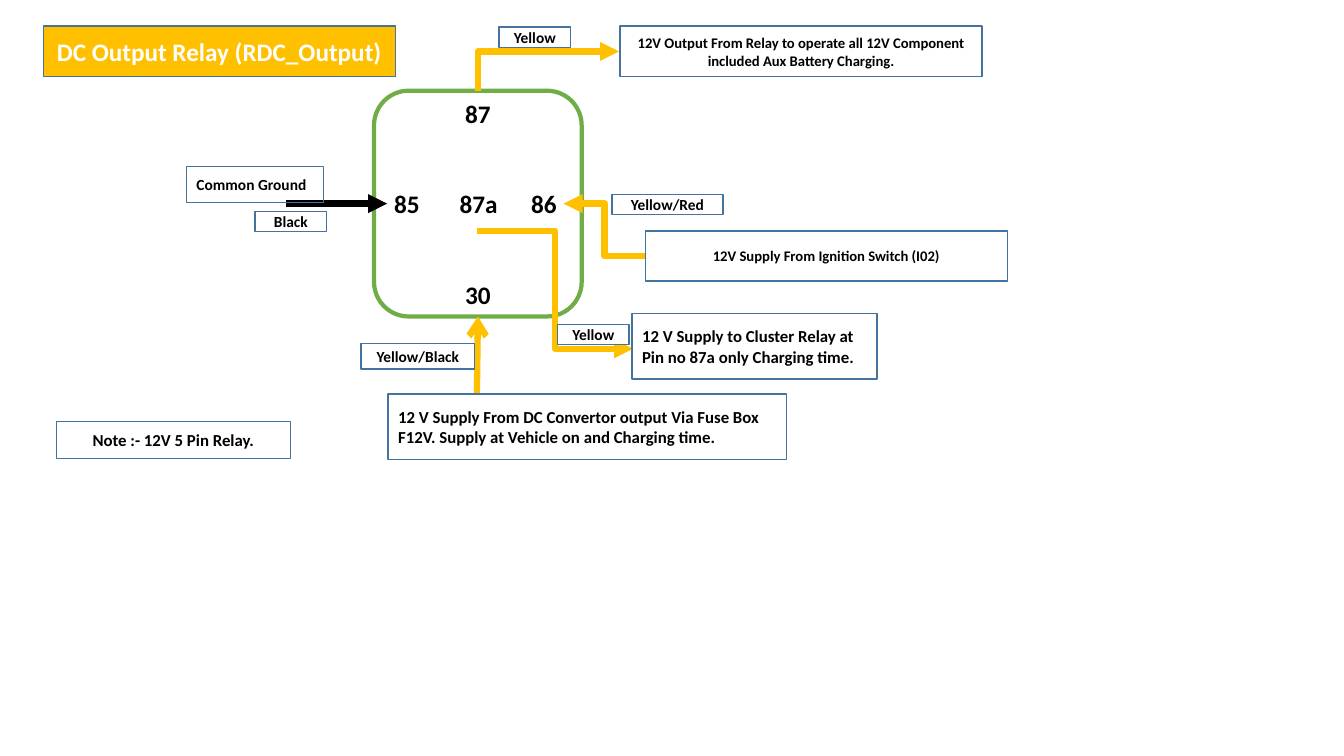
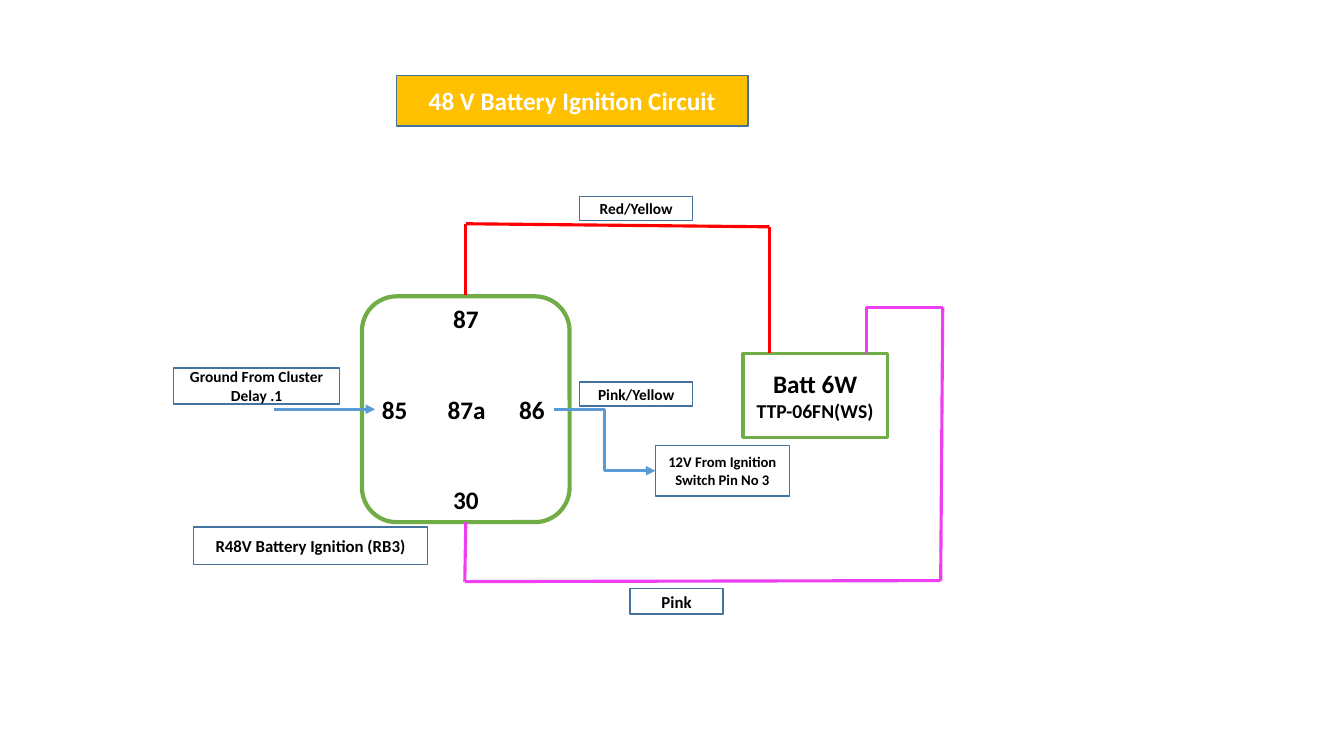
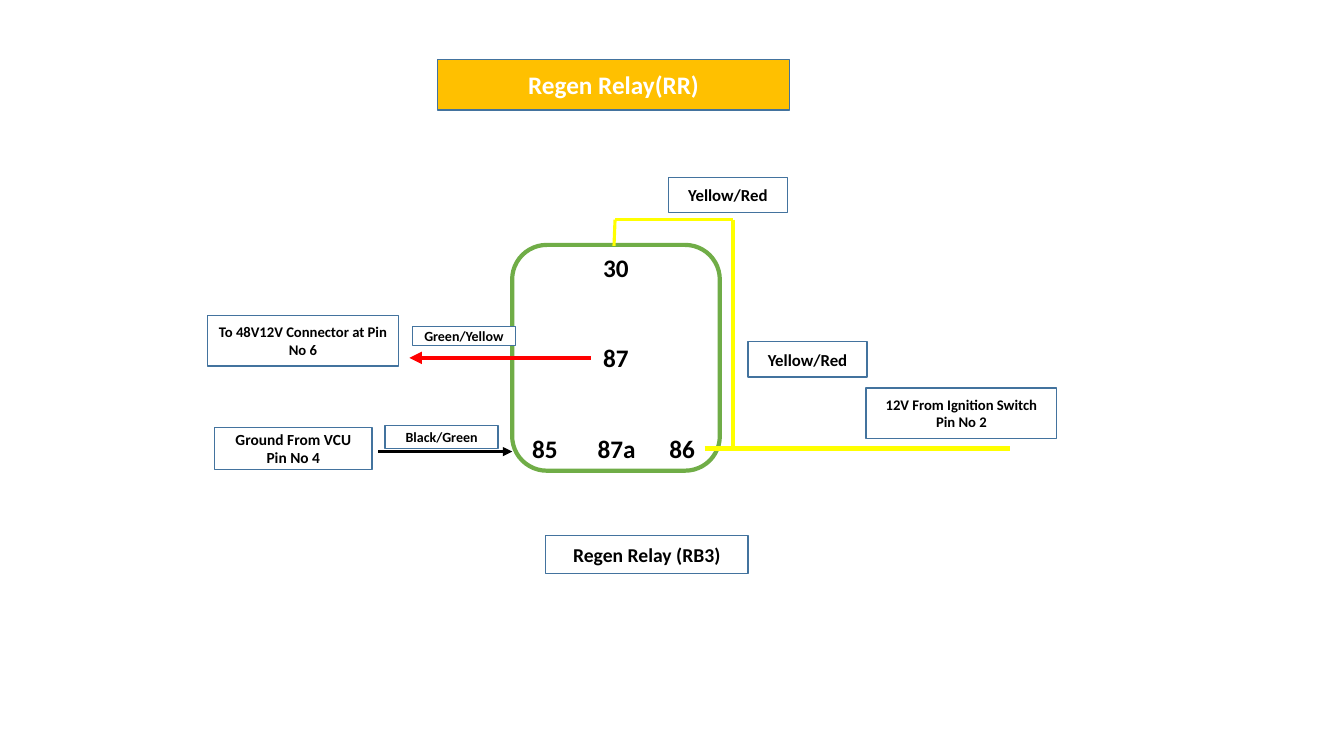
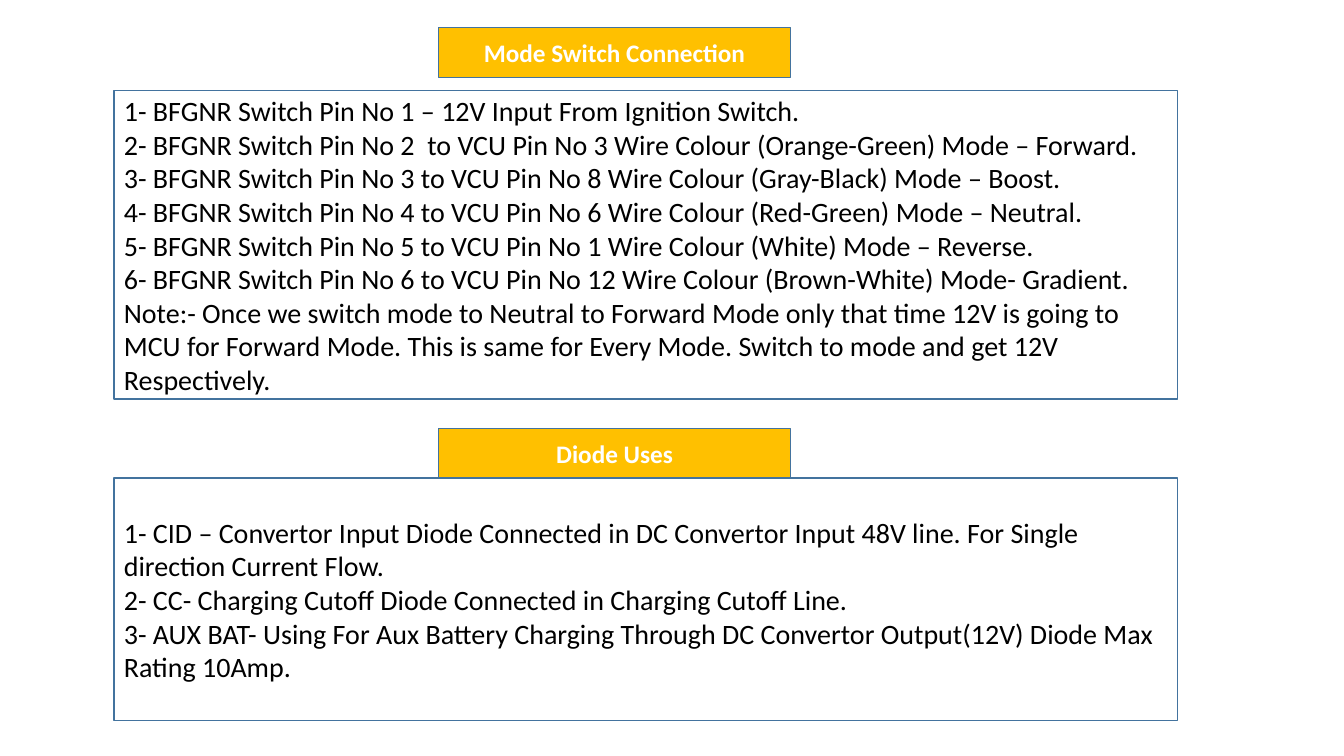
from itertools import pairwise

from lxml.etree import SubElement
from pptx import Presentation
from pptx.dml.color import RGBColor
from pptx.enum.shapes import MSO_CONNECTOR, MSO_SHAPE
from pptx.enum.text import MSO_ANCHOR, MSO_AUTO_SIZE, PP_ALIGN
from pptx.oxml.ns import qn
from pptx.util import Inches, Pt

WHITE = RGBColor(0xFF, 0xFF, 0xFF)
BLACK = RGBColor(0x00, 0x00, 0x00)
AMBER = RGBColor(0xFF, 0xC0, 0x00)
STEEL = RGBColor(0x43, 0x73, 0x9E)
GREEN = RGBColor(0x70, 0xAD, 0x47)
BLUE = RGBColor(0x5B, 0x9B, 0xD5)
PINK = RGBColor(0xED, 0x3F, 0xF1)
RED = RGBColor(0xFF, 0x00, 0x00)
YELLOW = RGBColor(0xFF, 0xFF, 0x00)

FONT = "Calibri"
ROWS = 75
BAND = (34.9, 5)
LEFT, MID = PP_ALIGN.LEFT, PP_ALIGN.CENTER


class Deck:
    def __init__(self):
        self.prs = Presentation()
        self.prs.slide_width = Inches(13.33)
        self.prs.slide_height = Inches(7.5)
        self.cell = self.prs.slide_height / ROWS
        self.slide = None

    def grid(self, *cells):
        return [round(n * self.cell) for n in cells]

    def label(self, shape, rows, size, color=BLACK, bold=True, align=MID, gap=0):
        frame = shape.text_frame
        frame.word_wrap = True
        frame.auto_size = MSO_AUTO_SIZE.NONE
        frame.vertical_anchor = MSO_ANCHOR.MIDDLE
        for n, row in enumerate(rows):
            para = frame.add_paragraph() if n else frame.paragraphs[0]
            para.alignment = align
            para.space_before = Pt(gap if n else 0)
            run = para.add_run()
            run.text = row
            font = run.font
            font.name, font.size, font.bold = FONT, Pt(size), bold
            font.color.rgb = color

    def paint(self, shape, fill, line=STEEL, width=1):
        if fill is None:
            shape.fill.background()
        else:
            shape.fill.solid()
            shape.fill.fore_color.rgb = fill
        shape.line.color.rgb = line
        shape.line.width = Pt(width)

    def shape(self, kind, at, fill, line=STEEL, width=1):
        shape = self.slide.shapes.add_shape(kind, *self.grid(*at))
        shape.shadow.inherit = False
        self.paint(shape, fill, line, width)
        return shape

    def page(self, left, top, text):
        self.slide = self.prs.slides.add_slide(self.prs.slide_layouts[5])
        title = self.slide.shapes.title
        spot = self.grid(left, top, *BAND)
        title.left, title.top, title.width, title.height = spot
        self.paint(title, AMBER)
        self.label(title, [text], 18, WHITE)

    def band(self, left, top, text):
        shape = self.shape(MSO_SHAPE.RECTANGLE, (left, top, *BAND), AMBER)
        self.label(shape, [text], 18, WHITE)

    def box(self, at, *rows, size=11, fill=None, bold=True, align=MID):
        shape = self.shape(MSO_SHAPE.RECTANGLE, at, fill)
        self.label(shape, rows, size, bold=bold, align=align)
        return shape

    def tag(self, at, text, size=11):
        self.box(at, text, size=size, fill=WHITE)

    def relay(self, left, top, *rows):
        at = (left, top, 20.6, 22.4)
        shape = self.shape(MSO_SHAPE.ROUNDED_RECTANGLE, at, WHITE, GREEN, 3)
        self.label(shape, rows, 18, gap=43)
        for para in shape.text_frame.paragraphs:
            if "\t" in para.text:
                para.alignment = LEFT
                tabs = SubElement(para._p.get_or_add_pPr(), qn("a:tabLst"))
                for stop in self.grid(6.5, 13.6):
                    SubElement(tabs, qn("a:tab"), pos=str(stop), algn="l")

    def link(self, kind, start, end, color, width, tip=None, side="tail"):
        spots = self.grid(*start, *end)
        line = self.slide.shapes.add_connector(kind, *spots)
        line.line.color.rgb = color
        line.line.width = Pt(width)
        props = line._element.spPr
        if tip:
            SubElement(props.find(qn("a:ln")), qn(f"a:{side}End"), type=tip)
        SubElement(props, qn("a:effectLst"))
        return line

    def wire(self, color, width, *spots, tip=None):
        pairs = list(pairwise(spots))
        for n, (start, end) in enumerate(pairs, 1):
            mark = tip if n == len(pairs) else None
            self.link(MSO_CONNECTOR.STRAIGHT, start, end, color, width, mark)

    def bend(self, color, width, start, end):
        self.link(MSO_CONNECTOR.ELBOW, start, end, color, width, "triangle")

    def hook(self, color, width, tip, base):
        line = self.link(MSO_CONNECTOR.ELBOW, tip, base, color, width,
                         "triangle", "head")
        line._element.spPr.find(qn("a:prstGeom")).set("prst", "bentConnector2")


def output(deck):
    deck.page(4.3, 2.6, "DC Output Relay (RDC_Output)")
    deck.relay(37.1, 9, "87", "85\t87a\t86", "30")
    deck.wire(AMBER, 4.5, (47.3, 39.1), (47.4, 31.4), tip="arrow")
    deck.wire(BLACK, 4.5, (28.4, 20.2), (38.4, 20.2), tip="triangle")
    deck.box((18.5, 16.5, 13.6, 3.6), "Common Ground", align=LEFT)
    deck.box((64, 22.9, 35.9, 5), "12V Supply From Ignition Switch (I02)", size=10.5)
    deck.bend(AMBER, 4.5, (64, 25.4), (55.9, 20.2))
    deck.box((38.5, 39.1, 39.5, 6.5),
             "12 V Supply From DC Convertor output Via Fuse Box F12V. "
             "Supply at Vehicle on and Charging time.",
             size=12, fill=WHITE, align=LEFT)
    deck.box((5.6, 41.8, 23.2, 3.7), "Note :- 12V 5 Pin Relay.", size=12)
    deck.tag((60.7, 19.3, 11, 2), "Yellow/Red")
    deck.bend(AMBER, 4.5, (47.3, 22.9), (62.8, 34.6))
    deck.box((62.7, 31.1, 24.3, 6.5),
             "12 V Supply to Cluster Relay at Pin no 87a only Charging time.",
             size=12, fill=WHITE, align=LEFT)
    deck.hook(AMBER, 4.5, (61.4, 5.1), (47.4, 9))
    deck.box((61.5, 2.6, 35.9, 5),
             "12V Output From Relay to operate all 12V Component "
             "included Aux Battery Charging.", size=10.5)
    for left, top, text in ((55.3, 32.2, "Yellow"), (49.5, 2.7, "Yellow"),
                            (25.3, 21, "Black")):
        deck.tag((left, top, 7.1, 2), text)
    deck.tag((35.8, 34.1, 11.3, 2.5), "Yellow/Black")


def battery(deck):
    deck.page(39.3, 7.5, "48 V Battery Ignition Circuit")
    deck.relay(35.9, 29.4, "87", "85\t87a\t86", "30")
    batt = deck.box((73.7, 35.1, 14.3, 8.3), "Batt 6W", "TTP-06FN(WS)",
                    size=18, fill=WHITE)
    deck.paint(batt, WHITE, GREEN, 2.25)
    batt.text_frame.paragraphs[1].runs[0].font.size = Pt(14)
    deck.wire(RED, 2.25, (46.2, 29.3), (46.2, 22.2), (76.3, 22.5), (76.3, 35))
    deck.wire(PINK, 2.25, (46.2, 51.8), (46.1, 57.7), (93.3, 57.6),
              (93.5, 30.5), (85.9, 30.5), (85.9, 35.1))
    deck.wire(BLUE, 2.25, (27.2, 40.6), (37.2, 40.6), tip="triangle")
    deck.box((17.2, 36.5, 16.5, 3.6), "Ground From Cluster Delay .1")
    deck.box((65, 44.2, 13.3, 5), "12V From Ignition Switch Pin No 3", size=10.5)
    deck.bend(BLUE, 2.25, (54.9, 40.6), (65, 46.7))
    deck.box((19.2, 52.3, 23.2, 3.7), "R48V Battery Ignition (RB3)", size=12)
    deck.tag((57.5, 19.5, 11.2, 2.4), "Red/Yellow")
    deck.tag((57.5, 37.9, 11.2, 2.4), "Pink/Yellow")
    deck.tag((62.5, 58.4, 9.2, 2.5), "Pink", 12)


def regen(deck):
    deck.page(43.4, 5.9, "Regen Relay(RR)")
    deck.relay(50.8, 24.3, "30", "87", "85\t87a\t86")
    deck.wire(YELLOW, 2.25, (60.9, 24.4), (61, 21.8), (72.7, 21.8))
    deck.wire(YELLOW, 3, (72.7, 21.8), (72.7, 44.5))
    deck.wire(YELLOW, 3, (69.9, 44.5), (100.2, 44.5))
    deck.wire(BLACK, 2.25, (37.5, 44.8), (50.8, 44.8), tip="triangle")
    deck.wire(RED, 3, (58.6, 35.5), (40.6, 35.5), tip="triangle")
    deck.box((21.3, 42.4, 15.6, 4.2), "Ground From VCU Pin No 4")
    deck.box((54.1, 53.1, 20.1, 3.8), "Regen Relay (RB3)", size=14)
    deck.box((85.9, 38.5, 18.9, 5), "12V From Ignition Switch Pin No 2", size=10.5)
    deck.box((20.6, 31.3, 18.9, 5), "To 48V12V Connector at Pin No 6", size=10.5)
    for left, top in ((74.2, 33.9), (66.3, 17.6)):
        deck.tag((left, top, 11.8, 3.5), "Yellow/Red", 12)
    deck.tag((38.2, 42.2, 11.2, 2.3), "Black/Green", 10)
    deck.tag((40.9, 32.4, 10.2, 1.9), "Green/Yellow", 10)


def modes(deck):
    body = dict(size=20, fill=WHITE, bold=False, align=LEFT)
    deck.page(43.5, 2.7, "Mode Switch Connection")
    deck.box((11.3, 9, 105.5, 30.6),
             "1- BFGNR Switch Pin No 1 – 12V Input From Ignition Switch.",
             "2- BFGNR Switch Pin No 2  to VCU Pin No 3 Wire Colour "
             "(Orange-Green) Mode – Forward.",
             "3- BFGNR Switch Pin No 3 to VCU Pin No 8 Wire Colour "
             "(Gray-Black) Mode – Boost.",
             "4- BFGNR Switch Pin No 4 to VCU Pin No 6 Wire Colour "
             "(Red-Green) Mode – Neutral.",
             "5- BFGNR Switch Pin No 5 to VCU Pin No 1 Wire Colour "
             "(White) Mode – Reverse.",
             "6- BFGNR Switch Pin No 6 to VCU Pin No 12 Wire Colour "
             "(Brown-White) Mode- Gradient.",
             "Note:- Once we switch mode to Neutral to Forward Mode only that "
             "time 12V is going to MCU for Forward Mode. This is same for "
             "Every Mode. Switch to mode and get 12V Respectively.", **body)
    deck.band(43.5, 42.5, "Diode Uses")
    deck.box((11.3, 47.4, 105.5, 24.1),
             "1- CID – Convertor Input Diode Connected in DC Convertor Input "
             "48V line. For Single direction Current Flow.",
             "2- CC- Charging Cutoff Diode Connected in Charging Cutoff Line.",
             "3- AUX BAT- Using For Aux Battery Charging Through DC Convertor "
             "Output(12V) Diode Max Rating 10Amp.", **body)


def main():
    deck = Deck()
    for build in (output, battery, regen, modes):
        build(deck)
    deck.prs.save("out.pptx")


if __name__ == "__main__":
    main()
